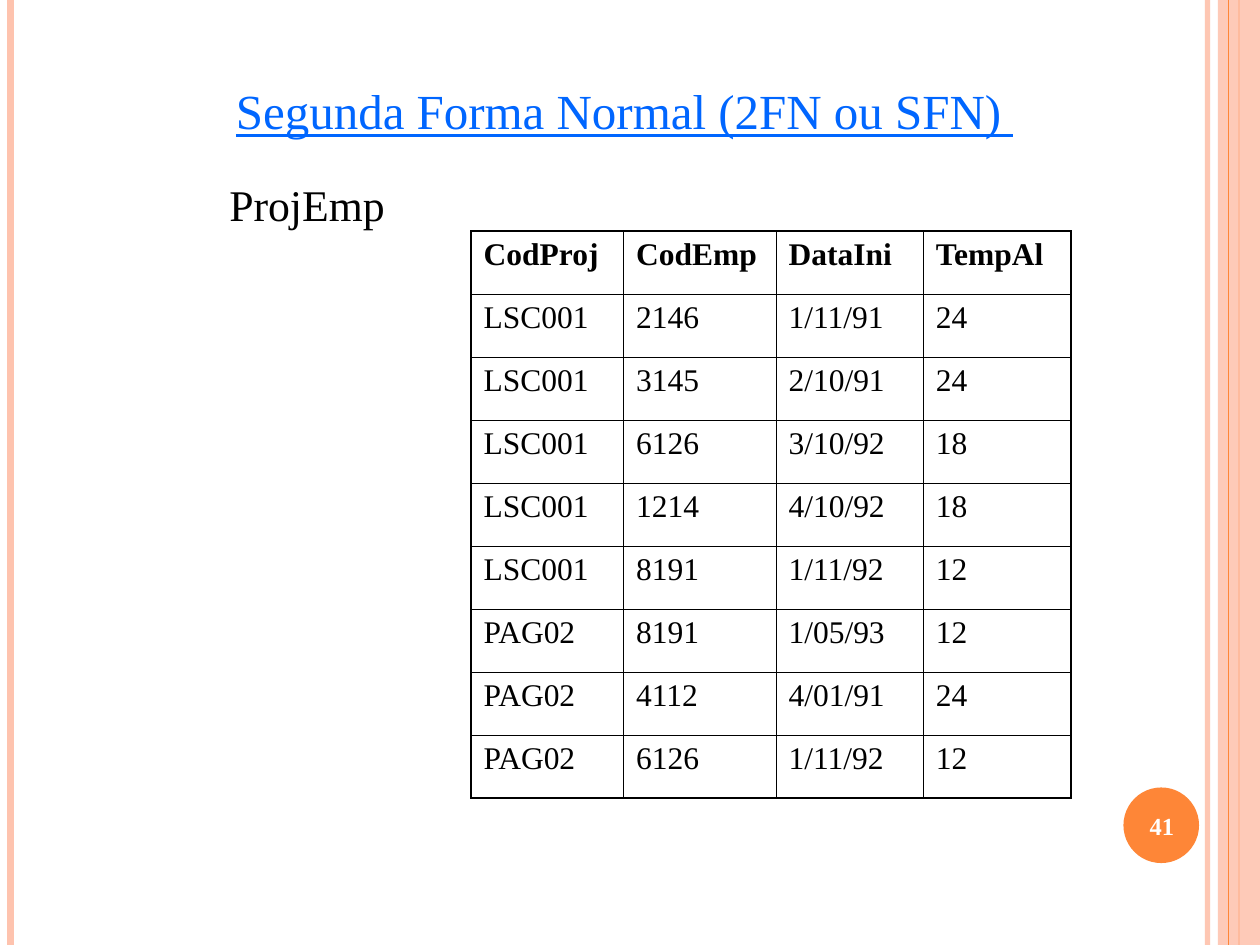
import pptx
import pptx.util
import pptx.dml.color
import pptx.enum.shapes
import pptx.enum.text
import pptx.oxml
import pptx.oxml.ns
from lxml import etree

Pt = pptx.util.Pt
qn = pptx.oxml.ns.qn

TITLE = "Segunda Forma Normal (2FN ou SFN) "
TABLE_NAME = "ProjEmp"
PAGE_NUMBER = "41"
HEADER = ("CodProj", "CodEmp", "DataIni", "TempAl")
ROWS = [
    ("LSC001", "2146", "1/11/91", "24"),
    ("LSC001", "3145", "2/10/91", "24"),
    ("LSC001", "6126", "3/10/92", "18"),
    ("LSC001", "1214", "4/10/92", "18"),
    ("LSC001", "8191", "1/11/92", "12"),
    ("PAG02", "8191", "1/05/93", "12"),
    ("PAG02", "4112", "4/01/91", "24"),
    ("PAG02", "6126", "1/11/92", "12"),
]

THEME = {
    "font": "Times New Roman",
    "title": "0066FF", "text": "000000", "inverse": "FFFFFF",
    "accent": "FE8637", "pale": "FEC3AE",
    "title_size": 28, "name_size": 25, "cell_size": 18, "number_size": 14,
    "outer": 1.08, "inner": 0.45,
}
WIDTH, HEIGHT = 720, 540
COLUMN_WIDTHS = (87.12, 87.12, 84.24, 84.24)
ROW_HEIGHT = 36
TABLE_LEFT, TABLE_TOP = 269.2, 132


def rgb(name):
    return pptx.dml.color.RGBColor.from_string(THEME[name])


def set_alpha(s, percent):
    for color in s._element.spPr.iter(qn("a:srgbClr")):
        etree.SubElement(color, qn("a:alpha"), val=str(percent * 1000))


def add_stripe(shapes, x, color, weight):
    s = shapes.add_connector(
        pptx.enum.shapes.MSO_CONNECTOR.STRAIGHT, Pt(x), Pt(0), Pt(x), Pt(HEIGHT))
    s.line.color.rgb = rgb(color)
    s.line.width = Pt(weight)
    etree.SubElement(s._element.spPr, qn("a:effectLst"))
    return s


def add_block(shapes, kind, box, color):
    s = shapes.add_shape(kind, *map(Pt, box))
    s.shadow.inherit = False
    s.fill.solid()
    s.fill.fore_color.rgb = rgb(color)
    s.line.fill.background()
    return s


def write(tf, text, size, color, bold=False, underline=False, align=None):
    p = tf.paragraphs[0]
    p.alignment = align
    r = p.add_run()
    r.text = text
    r.font.name = THEME["font"]
    r.font.size = Pt(THEME[size])
    r.font.bold = bold
    r.font.underline = underline
    r.font.color.rgb = rgb(color)


def add_text(shapes, box, text, size, color, wrap=True, middle=True, **style):
    tf = shapes.add_textbox(*map(Pt, box)).text_frame
    tf.word_wrap = wrap
    if middle:
        tf.vertical_anchor = pptx.enum.text.MSO_ANCHOR.MIDDLE
        style["align"] = pptx.enum.text.PP_ALIGN.CENTER
    write(tf, text, size, color, **style)


def set_borders(cell, outer_sides):
    tcPr = cell._tc.get_or_add_tcPr()
    for side in "LRTB":
        weight = THEME["outer" if side in outer_sides else "inner"]
        ln = etree.SubElement(tcPr, qn("a:ln" + side), w=str(Pt(weight)))
        fill = etree.SubElement(ln, qn("a:solidFill"))
        etree.SubElement(fill, qn("a:srgbClr"), val=THEME["text"])


def add_grid(shapes):
    data = [HEADER] + ROWS
    last_row, last_col = len(data) - 1, len(HEADER) - 1
    table = shapes.add_table(
        len(data), len(HEADER), Pt(TABLE_LEFT), Pt(TABLE_TOP),
        Pt(sum(COLUMN_WIDTHS)), Pt(ROW_HEIGHT * len(data))).table
    table.horz_banding = False
    table.first_row = False
    for column, width in zip(table.columns, COLUMN_WIDTHS):
        column.width = Pt(width)
    for i, values in enumerate(data):
        table.rows[i].height = Pt(ROW_HEIGHT)
        for j, value in enumerate(values):
            cell = table.cell(i, j)
            edges = {"L": j == 0, "R": j == last_col, "T": i == 0, "B": i == last_row}
            set_borders(cell, [side for side, outer in edges.items() if outer])
            cell.fill.background()
            write(cell.text_frame, value, "cell_size", "text", bold=i == 0)


def main():
    prs = pptx.Presentation()
    prs.slide_width, prs.slide_height = Pt(WIDTH), Pt(HEIGHT)
    shapes = prs.slides.add_slide(prs.slide_layouts[6]).shapes
    kinds = pptx.enum.shapes.MSO_SHAPE

    set_alpha(add_stripe(shapes, 690, "pale", 3), 93)
    add_stripe(shapes, 6, "pale", 4.5)
    add_stripe(shapes, 708, "accent", 1.5)
    set_alpha(add_block(shapes, kinds.RECTANGLE, (696, 0, 24, HEIGHT), "pale"), 87)
    add_stripe(shapes, 702, "accent", 0.75)
    add_block(shapes, kinds.OVAL, (642, 450, 43.2, 43.2), "accent")

    add_text(shapes, (640, 451.4, 48, 41), PAGE_NUMBER, "number_size", "inverse", bold=True)
    add_text(shapes, (48, 24, 618, 78), TITLE, "title_size", "title", underline=True)
    add_grid(shapes)
    add_text(shapes, (124, 98, 103, 37.4), TABLE_NAME, "name_size", "text",
             wrap=False, middle=False)
    prs.save("out.pptx")


if __name__ == "__main__":
    main()
